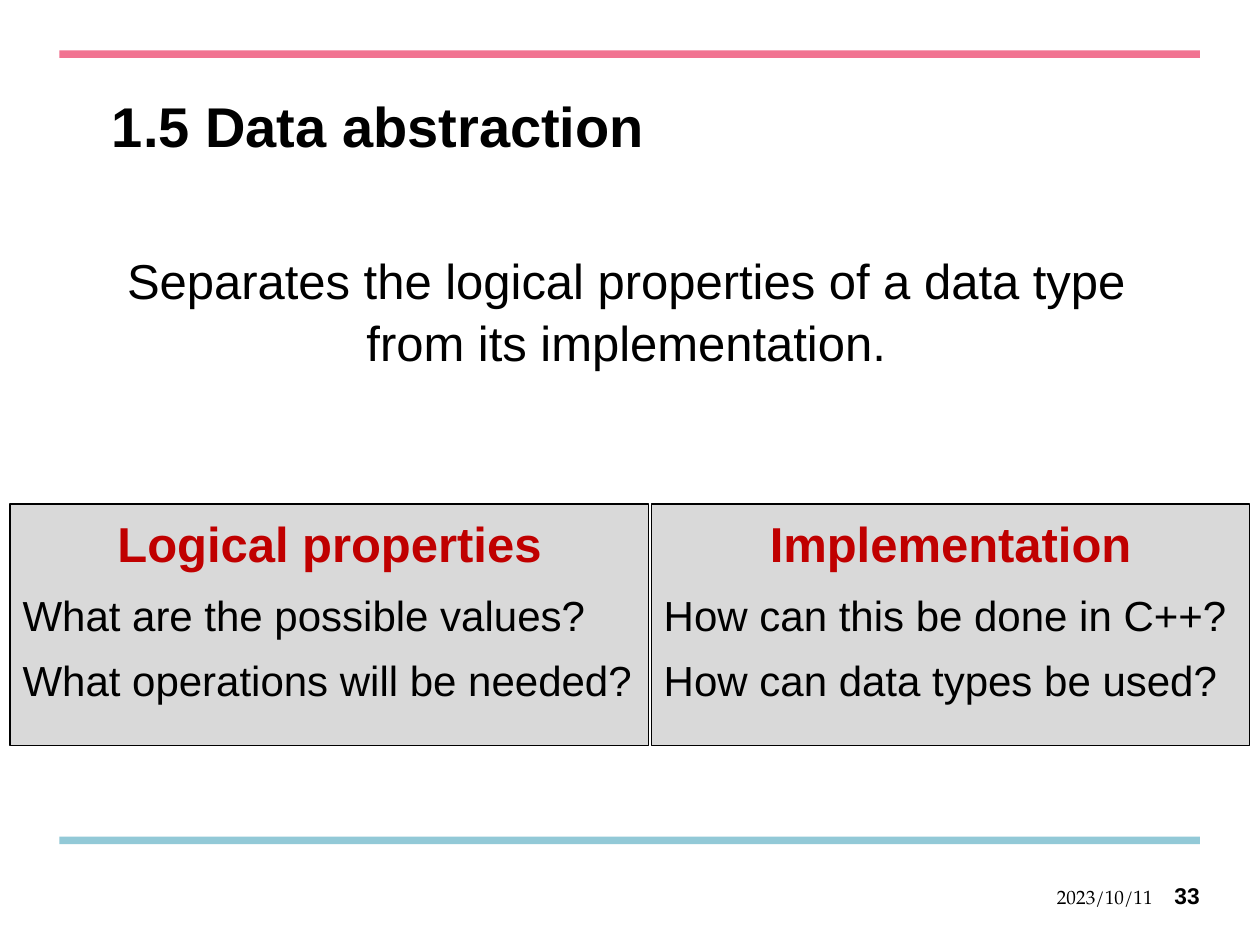
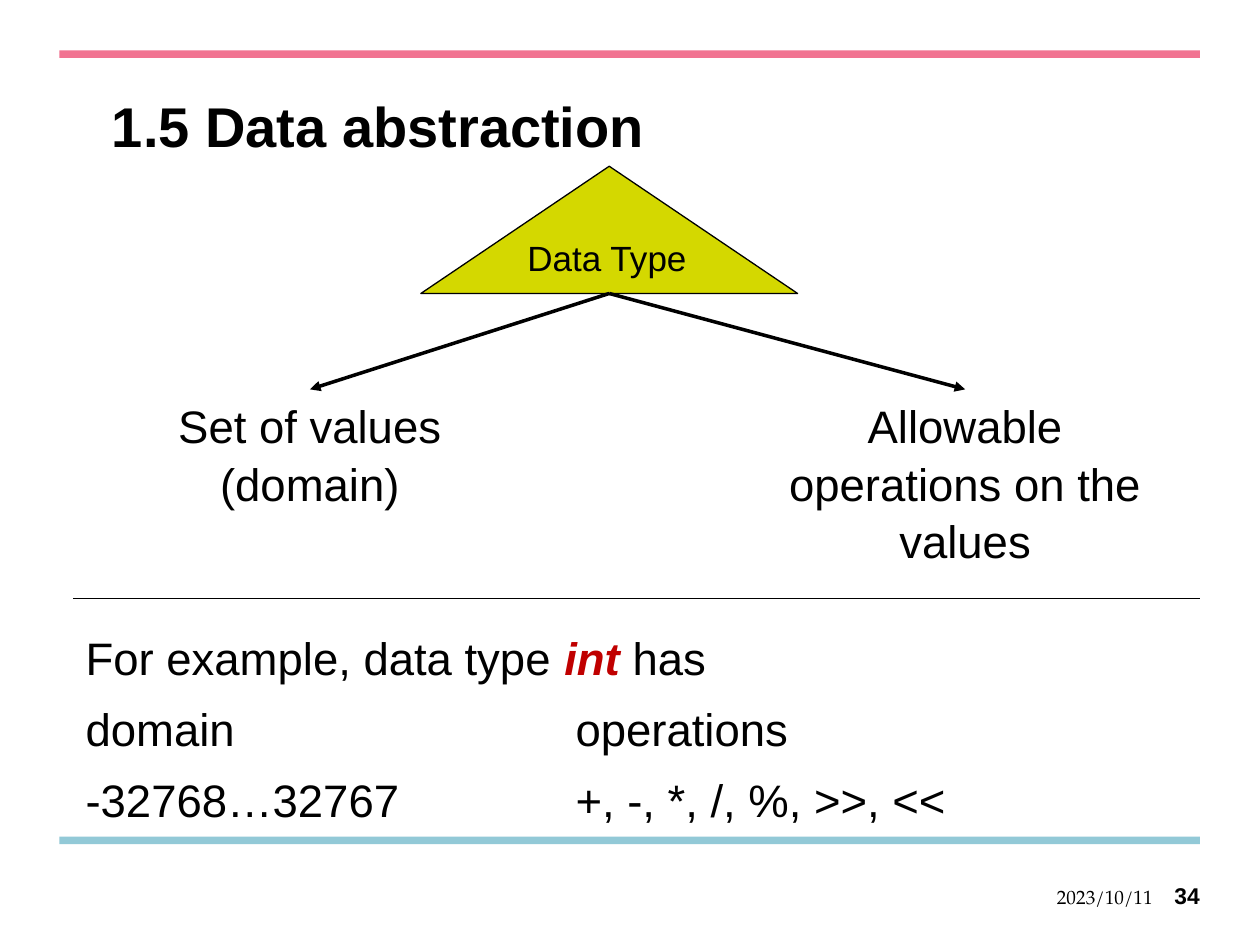
import pptx
import pptx.dml.color
import pptx.enum.shapes
import pptx.enum.text
import pptx.oxml
import pptx.oxml.ns
import pptx.util

Pt = pptx.util.Pt
SHAPES = pptx.enum.shapes.MSO_SHAPE
ALIGN = pptx.enum.text.PP_ALIGN
ANCHOR = pptx.enum.text.MSO_ANCHOR

COLORS = {"ink": "000000", "accent": "C00000", "panel": "D9D9D9",
          "triangle": "D4D800", "pink": "F17391", "blue": "92C9D7"}
SANS, SERIF = "Arial", "TeX Gyre Pagella"
INSETS = (7.2, 3.6, 7.2, 3.6)
TITLE = "1.5 Data abstraction"
DATE = "2023/10/11"
OPERATIONS_TAB = 280


def rgb(name):
    return pptx.dml.color.RGBColor.from_string(COLORS[name])


def add_xml(parent, tag, **attributes):
    element = pptx.oxml.parse_xml(f"<a:{tag} {pptx.oxml.ns.nsdecls('a')}/>")
    for name, value in attributes.items():
        element.set(name, value)
    parent.append(element)
    return element


# Text
def set_frame(shape, insets=INSETS, anchor=ANCHOR.TOP):
    frame = shape.text_frame
    frame.word_wrap = True
    frame.vertical_anchor = anchor
    (frame.margin_left, frame.margin_top,
     frame.margin_right, frame.margin_bottom) = [Pt(inset) for inset in insets]
    return frame


def add_run(paragraph, text, size, color="ink", font=SANS, bold=False, italic=False):
    run = paragraph.add_run()
    run.text = text
    run.font.name, run.font.size = font, Pt(size)
    run.font.bold, run.font.italic = bold, italic
    run.font.color.rgb = rgb(color)


def add_paragraph(frame, size, align=ALIGN.LEFT):
    """Body paragraph, spaced in proportion to its text size."""
    first = frame.paragraphs[0]
    paragraph = frame.add_paragraph() if first.runs else first
    paragraph.alignment = align
    paragraph.line_spacing = 1.05
    paragraph.space_after = Pt(0.3 * size)
    return paragraph


def add_text_box(slide, box, insets=INSETS, anchor=ANCHOR.TOP):
    shape = slide.shapes.add_textbox(*map(Pt, box))
    set_frame(shape, insets, anchor)
    return shape


def add_centred_text(slide, box, text, size):
    shape = add_text_box(slide, box)
    add_run(add_paragraph(shape.text_frame, size, ALIGN.CENTER), text, size)
    return shape


# Shapes and lines
def add_shape(slide, kind, box, fill, outlined=True):
    shape = slide.shapes.add_shape(kind, *map(Pt, box))
    shape.shadow.inherit = False
    shape.fill.solid()
    shape.fill.fore_color.rgb = rgb(fill)
    if outlined:
        shape.line.color.rgb = rgb("ink")
        shape.line.width = Pt(0.75)
    else:
        shape.line.fill.background()
    return shape


def add_line(slide, start, end, width, arrow=False):
    line = slide.shapes.add_connector(
        pptx.enum.shapes.MSO_CONNECTOR.STRAIGHT, *map(Pt, (*start, *end)))
    line.line.color.rgb = rgb("ink")
    line.line.width = Pt(width)
    if arrow:
        add_xml(line.line._get_or_add_ln(), "tailEnd", type="triangle")
    add_xml(line._element.spPr, "effectLst")
    return line


# Shared bands, title and footer
def add_base_slide(presentation, number):
    slide = presentation.slides.add_slide(presentation.slide_layouts[6])
    for top, color in ((478.1, "blue"), (28.8, "pink")):
        add_shape(slide, SHAPES.RECTANGLE, (33.9, top, 651.8, 4.3), color, outlined=False)

    title = add_text_box(slide, (56.9, 51.8, 629.3, 79.2), (7.2, 5, 7.2, 3.6))
    paragraph = title.text_frame.paragraphs[0]
    paragraph.line_spacing = Pt(34)
    add_run(paragraph, TITLE, 32, bold=True)

    footer_top, footer_height = 502.6, 19.4
    date = add_text_box(slide, (589.7, footer_top, 69.1, footer_height),
                        (0, 0, 0, 0), ANCHOR.MIDDLE)
    page = add_text_box(slide, (657.4, footer_top, 28.1, footer_height), (0, 1.4, 0, 0))
    for shape, text, size, font, bold in ((date, DATE, 11, SERIF, False),
                                          (page, str(number), 13, SANS, True)):
        paragraph = shape.text_frame.paragraphs[0]
        paragraph.alignment = ALIGN.RIGHT
        add_run(paragraph, text, size, font=font, bold=bold)
    return slide


# Slide 33: definition and two question panels
def add_question_panel(slide, box, heading, questions):
    panel = add_shape(slide, SHAPES.RECTANGLE, box, "panel")
    frame = set_frame(panel)
    add_run(add_paragraph(frame, 28, ALIGN.CENTER), heading, 28, "accent", bold=True)
    for question in questions:
        add_run(add_paragraph(frame, 24), question, 24)


def build_definition_slide(presentation):
    slide = add_base_slide(presentation, 33)
    add_centred_text(
        slide, (43.9, 138.2, 627.8, 102.2),
        "Separates the logical properties of a data type from its implementation.", 28)
    panels = (
        (5.8, 365, "Logical properties",
         ("What are the possible values?", "What operations will be needed?")),
        (372.2, 342, "Implementation",
         ("How can this be done in C++?", "How can data types be used?")))
    for left, width, heading, questions in panels:
        add_question_panel(slide, (left, 288, width, 138.2), heading, questions)


# Slide 34: data type diagram and example
def add_data_type_diagram(slide, box):
    left, top, width, height = box
    triangle_width, triangle_height = 215.3, 72.7
    part_width, part_height = 240.5, 77.8
    triangle_left = left + 183.6
    triangle = add_shape(slide, SHAPES.ISOSCELES_TRIANGLE,
                         (triangle_left, top, triangle_width, triangle_height), "triangle")
    paragraph = set_frame(triangle).paragraphs[0]
    paragraph.alignment = ALIGN.LEFT
    add_run(paragraph, "Data Type", 20)

    base_middle = (triangle_left + triangle_width / 2, top + triangle_height)
    part_top = top + height - part_height
    for part_left, text in ((left, "Set of values (domain)"),
                            (left + width - part_width, "Allowable operations on the values")):
        part = add_centred_text(slide, (part_left, part_top, part_width, part_height), text, 26)
        arrow = add_line(slide, base_middle, (part_left + part_width / 2, part_top), 2, arrow=True)
        arrow.end_connect(part, 0)


def add_example(slide, box):
    left, top, width, height = box
    add_line(slide, (left, top), (left + width, top), 0.75)
    frame = add_text_box(slide, (left, top + 13, width, height - 13)).text_frame
    sentence = add_paragraph(frame, 26)
    add_run(sentence, "For example, data type ", 26)
    add_run(sentence, "int ", 26, "accent", bold=True, italic=True)
    add_run(sentence, "has", 26)
    for domain, operations in (("domain", "operations"),
                               ("-32768…32767", "+, -, *, /, %, >>, <<")):
        paragraph = add_paragraph(frame, 26)
        tabs = add_xml(paragraph._p.get_or_add_pPr(), "tabLst")
        add_xml(tabs, "tab", pos=str(Pt(OPERATIONS_TAB)), algn="l")
        add_run(paragraph, f"{domain}\t{operations}", 26)


def build_data_type_slide(presentation):
    slide = add_base_slide(presentation, 34)
    add_data_type_diagram(slide, (56.9, 95, 614.9, 205.3))
    add_example(slide, (41.8, 342, 644.2, 149.8))


def main():
    presentation = pptx.Presentation()
    presentation.slide_width, presentation.slide_height = Pt(720), Pt(540)
    build_definition_slide(presentation)
    build_data_type_slide(presentation)
    presentation.save("out.pptx")


if __name__ == "__main__":
    main()
